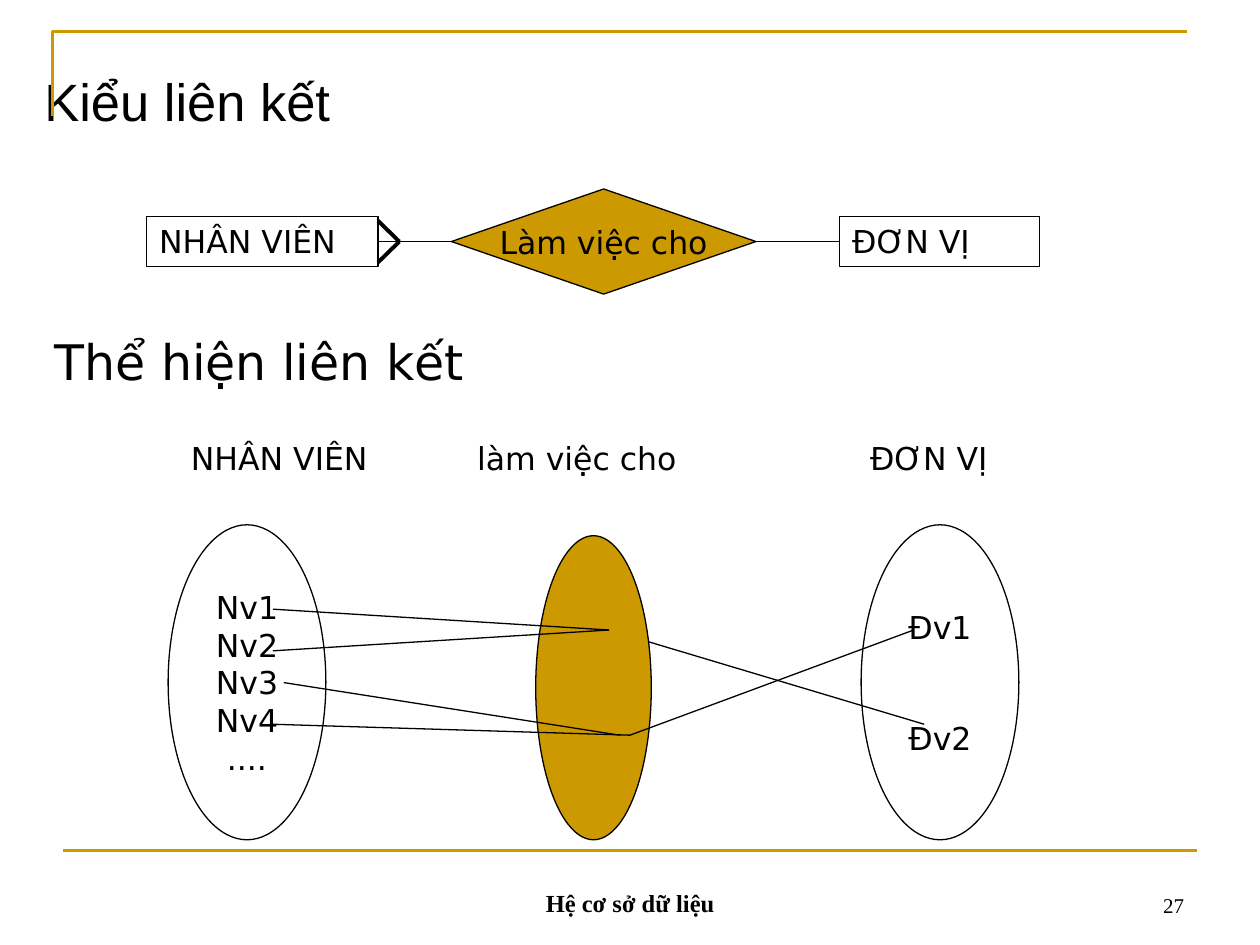
from dataclasses import dataclass

from lxml import etree
from pptx import Presentation
from pptx import util as u
from pptx.dml.color import RGBColor
from pptx.enum import shapes, text
from pptx.oxml import ns

SHAPE = shapes.MSO_SHAPE
ALIGN = text.PP_ALIGN
ANCHOR = text.MSO_ANCHOR


@dataclass(frozen=True)
class Theme:
    ink: RGBColor = RGBColor(0x00, 0x00, 0x00)
    gold: RGBColor = RGBColor(0xCC, 0x99, 0x00)
    title_font: str = "Arial"
    body_font: str = "DejaVu Sans"
    footer_font: str = "Times New Roman"
    title: int = 30
    heading: int = 28
    body: int = 18
    footer: int = 14
    number: int = 12
    thin: float = 0.75
    rule: float = 1.5
    thick: float = 2.25


class Deck:
    """Holds the theme and the current slide; all lengths are in centimetres."""

    def __init__(self, theme):
        self.theme = theme
        self.prs = Presentation()
        self.prs.slide_width, self.prs.slide_height = u.Cm(25.4), u.Cm(19.05)
        self.s = self.prs.slides.add_slide(self.prs.slide_layouts[5])

    def set_text(self, sp, content, size, font=None, align=ALIGN.LEFT,
                 anchor=ANCHOR.TOP, wrap=True, bold=False, gap=0, tabs=()):
        """Fill a shape with text; gap is the space in points between paragraphs."""
        tf = sp.text_frame
        tf.text = content
        tf.word_wrap = wrap
        tf.vertical_anchor = anchor
        for i, p in enumerate(tf.paragraphs):
            p.alignment = align
            if i and gap:
                p.space_before = u.Pt(gap)
            if tabs:
                tab_list = etree.SubElement(p._p.get_or_add_pPr(), ns.qn("a:tabLst"))
                for pos in tabs:
                    etree.SubElement(tab_list, ns.qn("a:tab"), pos=str(u.Cm(pos)), algn="l")
            for r in p.runs:
                r.font.name = font or self.theme.body_font
                r.font.size = u.Pt(size)
                r.font.bold = bold
                r.font.color.rgb = self.theme.ink

    def title(self, content, x, y, w, h):
        sp = self.s.shapes.title
        sp.left, sp.top, sp.width, sp.height = map(u.Cm, (x, y, w, h))
        self.set_text(sp, content, self.theme.title, self.theme.title_font)

    def textbox(self, content, x, y, w, h, size, **style):
        sp = self.s.shapes.add_textbox(*map(u.Cm, (x, y, w, h)))
        self.set_text(sp, content, size, **style)

    def shape(self, kind, x, y, w, h, content="", fill=None, **style):
        sp = self.s.shapes.add_shape(kind, *map(u.Cm, (x, y, w, h)))
        sp.shadow.inherit = False
        if fill is None:
            sp.fill.background()
        else:
            sp.fill.solid()
            sp.fill.fore_color.rgb = fill
        sp.line.color.rgb = self.theme.ink
        sp.line.width = u.Pt(self.theme.thin)
        if content:
            self.set_text(sp, content, self.theme.body, **style)
        return sp

    def line(self, start, end, color=None, width=None):
        c = self.s.shapes.add_connector(shapes.MSO_CONNECTOR.STRAIGHT,
                                        *map(u.Cm, (*start, *end)))
        c.line.color.rgb = color or self.theme.ink
        c.line.width = u.Pt(width or self.theme.thin)
        etree.SubElement(c._element.spPr, ns.qn("a:effectLst"))
        return c

    def join(self, left, right):
        """Connect the right side of one shape to the left side of the next."""
        c = self.line((0, 0), (0, 0))
        c.begin_connect(left, 3)
        c.end_connect(right, 1)

    def outline(self, start, *points):
        builder = self.s.shapes.build_freeform(*map(u.Cm, start))
        builder.add_line_segments([tuple(map(u.Cm, pt)) for pt in points], close=False)
        sp = builder.convert_to_shape()
        sp.shadow.inherit = False
        sp.fill.background()
        sp.line.color.rgb = self.theme.gold
        sp.line.width = u.Pt(self.theme.rule)


def main():
    t = Theme()
    d = Deck(t)

    # Frame and footer
    d.outline((1.06, 2.33), (1.06, 0.64), (23.92, 0.64))
    d.line((1.27, 17.14), (24.13, 17.14), t.gold, t.rule)
    footer = dict(font=t.footer_font, anchor=ANCHOR.BOTTOM)
    d.textbox("Hệ cơ sở dữ liệu", 8.68, 17.35, 8.05, 1.27, t.footer,
              align=ALIGN.CENTER, bold=True, **footer)
    d.textbox("27", 18.2, 17.35, 5.92, 1.27, t.number, align=ALIGN.RIGHT, **footer)

    # Relationship type
    d.title("Kiểu liên kết", 0.64, 1.27, 22.86, 1.5)
    centred = dict(align=ALIGN.CENTER, anchor=ANCHOR.MIDDLE, wrap=False)
    axis, box_h, diamond_h = 4.87, 1.02, 2.12
    relation = d.shape(SHAPE.FLOWCHART_DECISION, 9.1, axis - diamond_h / 2, 6.14,
                       diamond_h, "Làm việc cho", t.gold, **centred)
    employee = d.shape(SHAPE.RECTANGLE, 2.96, axis - box_h / 2, 4.66, box_h, "NHÂN VIÊN")
    unit = d.shape(SHAPE.RECTANGLE, 16.93, axis - box_h / 2, 4.02, box_h, "ĐƠN VỊ")
    d.join(employee, relation)
    d.join(relation, unit)
    for side in (-1, 1):
        d.line((7.62, axis + side * 0.42), (8.05, axis), width=t.thick)

    # Relationship instances
    d.textbox("Thể hiện liên kết", 0.85, 6.56, 9.1, 1.45, t.heading)
    d.textbox("NHÂN VIÊN\tlàm việc cho\tĐƠN VỊ", 3.6, 8.72, 18.2, 1.02, t.body,
              tabs=(5.77, 13.69))
    first, second = (12.28, 12.7), (12.7, 14.82)
    d.line(first, (18.63, 14.6))
    d.shape(SHAPE.OVAL, 3.39, 10.58, 3.18, 6.35, "Nv1\nNv2\nNv3\nNv4\n....", **centred)
    d.shape(SHAPE.OVAL, 10.8, 10.8, 2.33, 6.13, fill=t.gold)
    d.shape(SHAPE.OVAL, 17.36, 10.58, 3.18, 6.35, "Đv1\nĐv2", gap=42, **centred)
    links = [
        ((5.5, 12.28), first),
        ((5.5, 13.12), first),
        ((5.72, 13.76), (12.49, 14.82)),
        ((5.5, 14.6), second),
        (second, (18.42, 12.7)),
    ]
    for start, end in links:
        d.line(start, end)

    d.prs.save("out.pptx")


if __name__ == "__main__":
    main()
